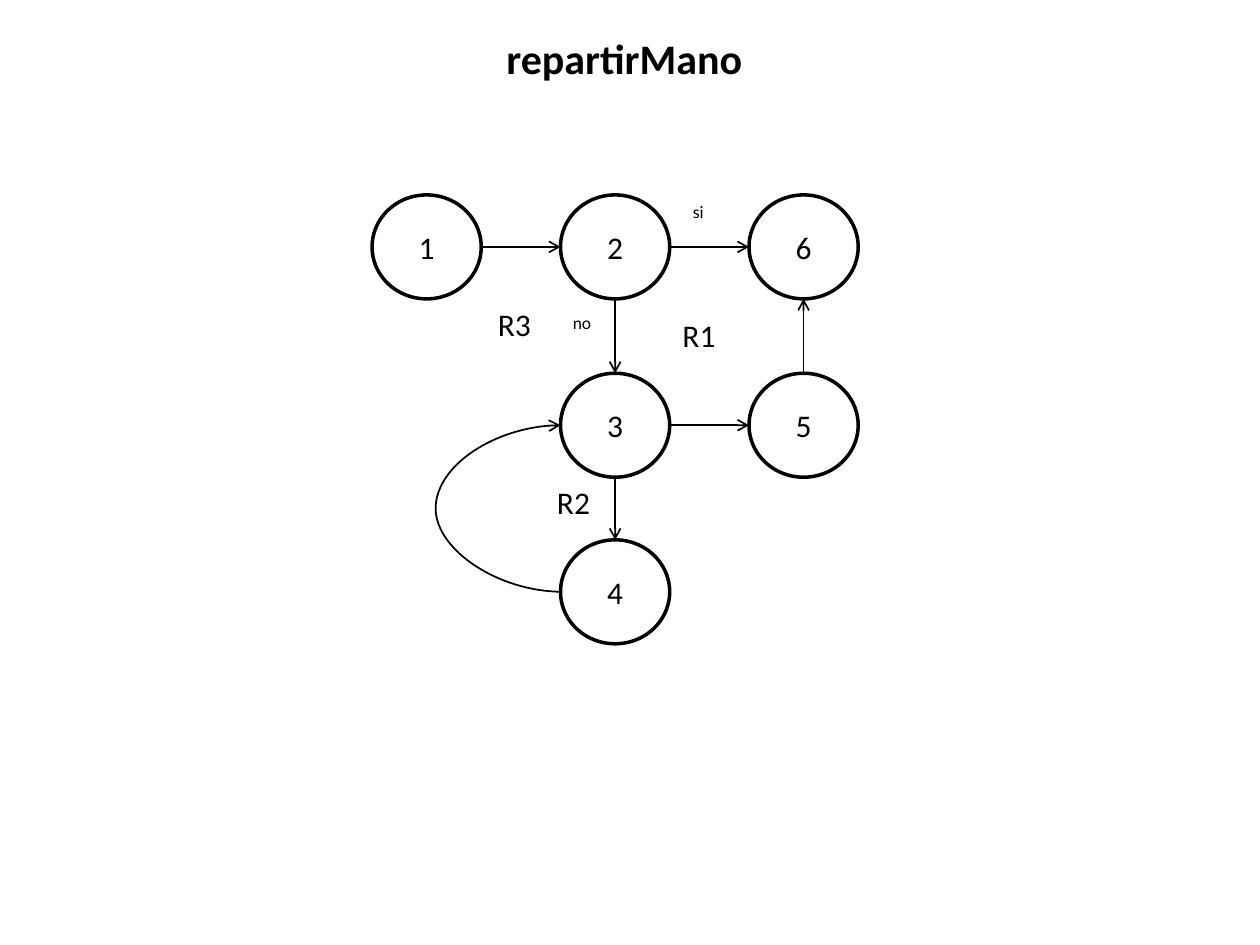
from pptx import Presentation
from pptx.dml.color import RGBColor
from pptx.enum.shapes import MSO_CONNECTOR as CONN, MSO_SHAPE as SHAPE
from pptx.enum.text import MSO_ANCHOR as ANCHOR, MSO_AUTO_SIZE as FIT, PP_ALIGN as ALIGN
from pptx.oxml.ns import qn
from pptx.util import Pt
from lxml.etree import SubElement

SITES = {"top": 0, "left": 2, "bottom": 4, "right": 6}


def color(hex_text):
    return RGBColor.from_string(hex_text)


def put_text(tf, text, size=18, bold=False, align=ALIGN.LEFT, font="Calibri", ink="000000"):
    p = tf.paragraphs[0]
    p.alignment = align
    r = p.add_run()
    r.text = text
    r.font.name = font
    r.font.size = Pt(size)
    r.font.bold = bold
    r.font.color.rgb = color(ink)


class FlowGraph:
    ink = "000000"
    node_w, node_h = 62.4, 59.4

    def __init__(self, prs):
        self.s = prs.slides.add_slide(prs.slide_layouts[5])

    def title(self, text, x, y, w, h):
        sp = self.s.shapes.title
        sp.left, sp.top, sp.width, sp.height = Pt(x), Pt(y), Pt(w), Pt(h)
        sp.text_frame.vertical_anchor = ANCHOR.TOP
        put_text(sp.text_frame, text, size=24, bold=True, align=ALIGN.CENTER)

    def node(self, text, x, y):
        sp = self.s.shapes.add_shape(SHAPE.OVAL, Pt(x), Pt(y), Pt(self.node_w), Pt(self.node_h))
        sp.shadow.inherit = False
        sp.fill.background()
        sp.line.color.rgb = color(self.ink)
        sp.line.width = Pt(2)
        sp.text_frame.vertical_anchor = ANCHOR.MIDDLE
        put_text(sp.text_frame, text, align=ALIGN.CENTER)
        return sp

    def site(self, sp, side):
        cx, cy = sp.left + sp.width // 2, sp.top + sp.height // 2
        return {"top": (cx, sp.top), "bottom": (cx, sp.top + sp.height),
                "left": (sp.left, cy), "right": (sp.left + sp.width, cy)}[side]

    def arrow(self, start, side, end, end_side, kind=CONN.STRAIGHT):
        cx = self.s.shapes.add_connector(kind, *self.site(start, side), *self.site(end, end_side))
        cx.line.color.rgb = color(self.ink)
        cx.line.width = Pt(1)
        SubElement(cx.line._get_or_add_ln(), qn("a:tailEnd"), type="arrow")
        SubElement(cx._element.spPr, qn("a:effectLst"))
        links = cx._element.find(qn("p:nvCxnSpPr")).find(qn("p:cNvCxnSpPr"))
        for tag, sp, at in (("a:stCxn", start, side), ("a:endCxn", end, end_side)):
            SubElement(links, qn(tag), id=str(sp.shape_id), idx=str(SITES[at]))
        return cx

    def loop(self, start, end, side, bulge):
        cx = self.arrow(start, side, end, side, CONN.CURVE)
        cx.begin_x = cx.end_x + Pt(1)
        guides = cx._element.spPr.find(qn("a:prstGeom")).get_or_add_avLst()
        SubElement(guides, qn("a:gd"), name="adj1", fmla=f"val {round(bulge * 100000)}")

    def label(self, text, x, y, w, h, size=18):
        tf = self.s.shapes.add_textbox(Pt(x), Pt(y), Pt(w), Pt(h)).text_frame
        tf.word_wrap = False
        tf.auto_size = FIT.SHAPE_TO_FIT_TEXT
        put_text(tf, text, size=size)


def main():
    prs = Presentation()
    prs.slide_width, prs.slide_height = Pt(720), Pt(540)
    g = FlowGraph(prs)
    g.title("repartirMano", 75.6, 15.1, 562.3, 36)

    cols = [212.6 + 107.7 * i for i in range(3)]
    rows = [111.4, 213.3, 308.5]
    places = {"1": (0, 0), "2": (1, 0), "3": (1, 1), "6": (2, 0), "4": (1, 2), "5": (2, 1)}
    nodes = {n: g.node(n, cols[c], rows[r]) for n, (c, r) in places.items()}

    for a, side, b, end_side in (
        ("1", "right", "2", "left"),
        ("2", "right", "6", "left"),
        ("5", "top", "6", "bottom"),
        ("2", "bottom", "3", "top"),
        ("3", "bottom", "4", "top"),
        ("3", "right", "5", "left"),
    ):
        g.arrow(nodes[a], side, nodes[b], end_side)
    g.loop(nodes["4"], nodes["3"], "left", bulge=72.9)

    for text, x, y in (("R1", 382.9, 177.3), ("R2", 311.2, 272.6), ("R3", 277.4, 170.8)):
        g.label(text, x, y, 33.8, 29)
    for text, x, y, w in (("si", 388.8, 111.4, 21), ("no", 320.3, 175, 25)):
        g.label(text, x, y, w, 19.4, size=10)

    prs.save("out.pptx")


if __name__ == "__main__":
    main()
